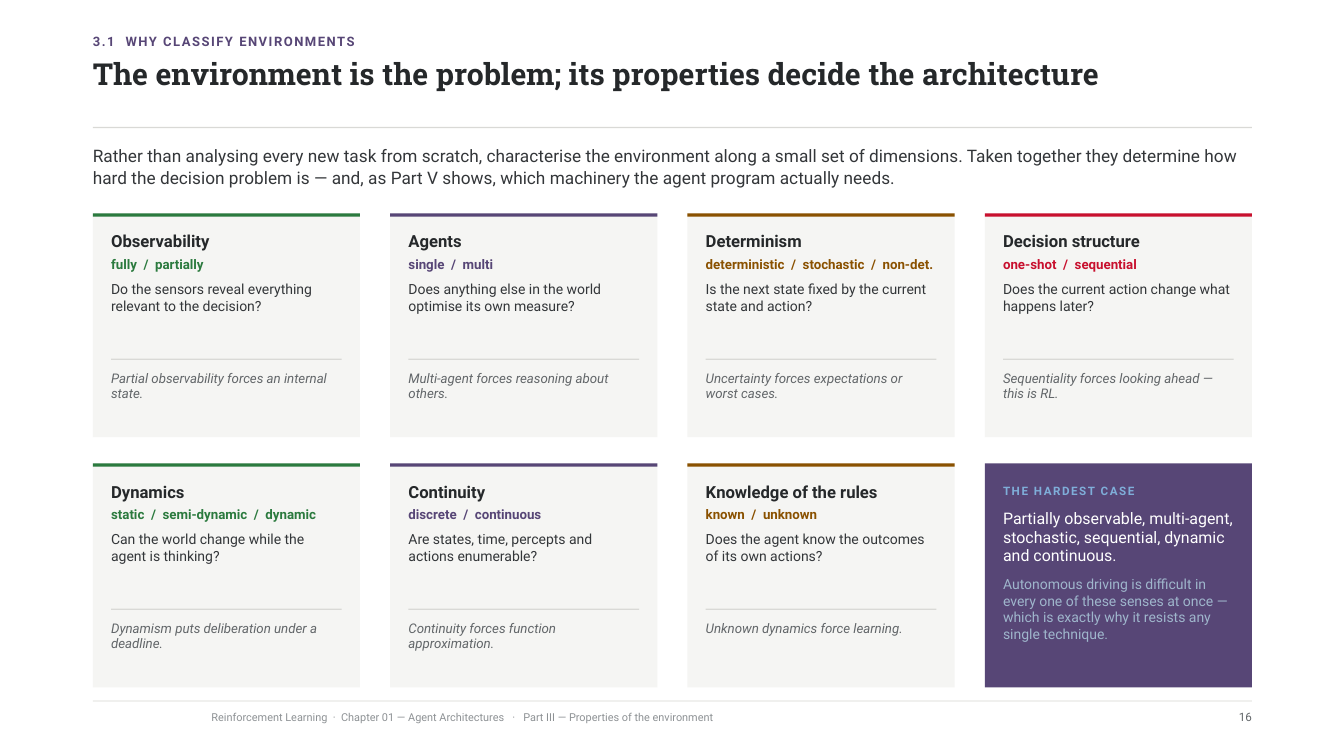
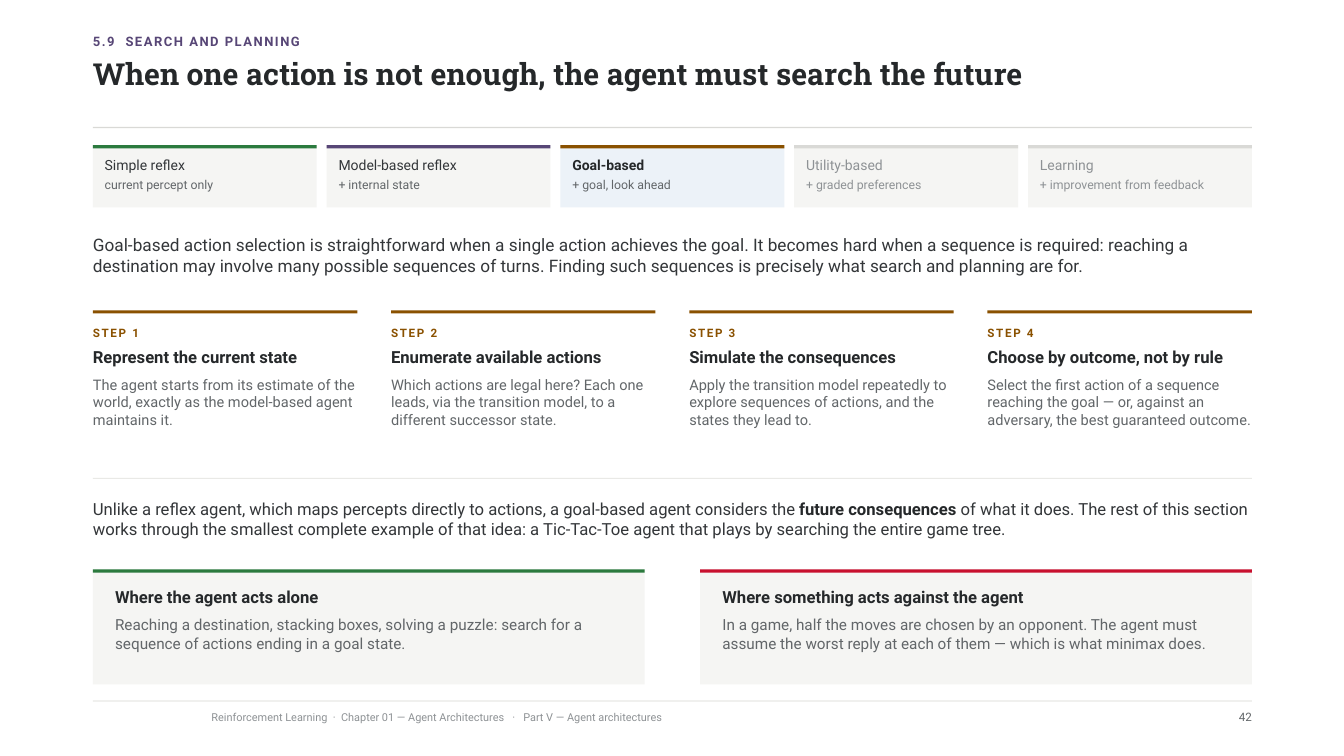
"""Build two lecture slides on environments, search and planning."""
import pptx
import pptx.dml.color
import pptx.enum.shapes
import pptx.enum.text
import pptx.util

Cm = pptx.util.Cm
Pt = pptx.util.Pt

HUES = {
    "ink": "25282A", "body": "333639", "grey": "626669", "faint": "8E9295",
    "rule": "D9D9D6", "thin": "E9E9E6", "panel": "F5F5F3", "active": "ECF2F8",
    "green": "2B7A3E", "purple": "574676", "brown": "8A5100", "red": "C8102E",
    "white": "FFFFFF", "sky": "7FAED9", "mist": "9FB6CC",
}
LEFT, WIDTH = 2.34, 29.21
HAIR, BAR = 0.03, 0.08
COURSE = "Reinforcement Learning  ·  Chapter 01 — Agent Architectures   ·   "


def style(size, lead, hue, before=0, track=0, align="LEFT", **font):
    """Return the format values of one kind of paragraph."""
    return {
        "hue": hue,
        "track": track,
        "font": {"name": "Roboto", "size": Pt(size), "bold": False, **font},
        "para": {
            "line_spacing": Pt(lead),
            "space_before": Pt(before),
            "alignment": getattr(pptx.enum.text.PP_ALIGN, align),
        },
    }


STYLES = {
    "kicker": style(9.3, 9.3, "purple", track=1.1, bold=True),
    "title": style(21.6, 22.5, "ink", name="Roboto Slab", bold=True),
    "footer": style(7.8, 7.8, "faint"),
    "page": style(8.3, 8.3, "grey", align="RIGHT"),
    "lead": style(12.3, 15.1, "body"),
    "bridge": style(11.9, 14.7, "body"),
    "head": style(11.9, 14, "ink", bold=True),
    "values": style(9.5, 11.2, "ink", before=4, bold=True),
    "query": style(10, 11.8, "body", before=6),
    "note": style(9.5, 11, "grey", italic=True),
    "label": style(8.3, 9.8, "sky", track=1.1, bold=True),
    "claim": style(11.4, 13.4, "white", before=8),
    "reason": style(10, 11.8, "mist", before=8),
    "tile": style(10, 11.8, "body"),
    "active": style(10, 11.8, "ink", bold=True),
    "sub": style(8.8, 9.9, "grey", before=3),
    "step": style(8.3, 9.8, "brown", track=1.2, bold=True),
    "task": style(11.9, 13.3, "ink", before=6, bold=True),
    "detail": style(10.4, 12.5, "grey", before=6),
    "case": style(10.9, 13.1, "grey", before=6),
}

CARDS = [
    ("green", "Observability", "fully  /  partially",
     "Do the sensors reveal everything relevant to the decision?",
     "Partial observability forces an internal state."),
    ("purple", "Agents", "single  /  multi",
     "Does anything else in the world optimise its own measure?",
     "Multi-agent forces reasoning about others."),
    ("brown", "Determinism", "deterministic  /  stochastic  /  non-det.",
     "Is the next state fixed by the current state and action?",
     "Uncertainty forces expectations or worst cases."),
    ("red", "Decision structure", "one-shot  /  sequential",
     "Does the current action change what happens later?",
     "Sequentiality forces looking ahead — this is RL."),
    ("green", "Dynamics", "static  /  semi-dynamic  /  dynamic",
     "Can the world change while the agent is thinking?",
     "Dynamism puts deliberation under a deadline."),
    ("purple", "Continuity", "discrete  /  continuous",
     "Are states, time, percepts and actions enumerable?",
     "Continuity forces function approximation."),
    ("brown", "Knowledge of the rules", "known  /  unknown",
     "Does the agent know the outcomes of its own actions?",
     "Unknown dynamics force learning."),
]
HARDEST = [
    ("label", "THE HARDEST CASE"),
    ("claim", "Partially observable, multi-agent, stochastic, sequential, "
              "dynamic and continuous."),
    ("reason", "Autonomous driving is difficult in every one of these senses "
               "at once — which is exactly why it resists any single technique."),
]
TILES = [
    ("green", "panel", "tile", None, "Simple reflex", "current percept only"),
    ("purple", "panel", "tile", None, "Model-based reflex", "+ internal state"),
    ("brown", "active", "active", None, "Goal-based", "+ goal, look ahead"),
    ("rule", "panel", "tile", "faint", "Utility-based", "+ graded preferences"),
    ("rule", "panel", "tile", "faint", "Learning",
     "+ improvement from feedback"),
]
STEPS = [
    ("Represent the current state",
     "The agent starts from its estimate of the world, exactly as the "
     "model-based agent maintains it."),
    ("Enumerate available actions",
     "Which actions are legal here? Each one leads, via the transition model, "
     "to a different successor state."),
    ("Simulate the consequences",
     "Apply the transition model repeatedly to explore sequences of actions, "
     "and the states they lead to."),
    ("Choose by outcome, not by rule",
     "Select the first action of a sequence reaching the goal — or, against an "
     "adversary, the best guaranteed outcome."),
]
CASES = [
    ("green", "Where the agent acts alone",
     "Reaching a destination, stacking boxes, solving a puzzle: search for a "
     "sequence of actions ending in a goal state."),
    ("red", "Where something acts against the agent",
     "In a game, half the moves are chosen by an opponent. The agent must "
     "assume the worst reply at each of them — which is what minimax does."),
]


def paint(hue):
    """Return the named colour."""
    return pptx.dml.color.RGBColor.from_string(HUES[hue])


def apply(target, values):
    """Set each attribute in values on the target."""
    for name, value in values.items():
        setattr(target, name, value)


def split(count, gap):
    """Return the left edges and the width of equal columns."""
    width = (WIDTH - gap * (count - 1)) / count
    return [LEFT + i * (width + gap) for i in range(count)], width


def block(slide, left, top, width, height, hue):
    """Draw a plain filled rectangle."""
    shape = slide.shapes.add_shape(
        pptx.enum.shapes.MSO_SHAPE.RECTANGLE,
        Cm(left), Cm(top), Cm(width), Cm(height))
    shape.shadow.inherit = False
    shape.fill.solid()
    shape.fill.fore_color.rgb = paint(hue)
    shape.line.fill.background()


def panel(slide, left, top, width, height, edge, fill="panel"):
    """Draw a panel with a coloured top edge."""
    block(slide, left, top, width, height, fill)
    block(slide, left, top, width, BAR, edge)


def write(slide, left, top, width, height, *lines):
    """Write lines of (style, text, optional hue); asterisks mark strong words."""
    frame = slide.shapes.add_textbox(
        Cm(left), Cm(top), Cm(width), Cm(height)).text_frame
    apply(frame, {"word_wrap": True, "margin_left": 0, "margin_top": 0,
                  "margin_right": 0, "margin_bottom": 0})
    for i, (kind, text, *hue) in enumerate(lines):
        look = STYLES[kind]
        para = frame.add_paragraph() if i else frame.paragraphs[0]
        apply(para, look["para"])
        for j, part in enumerate(text.split("*")):
            run = para.add_run()
            run.text = part
            apply(run.font, look["font"])
            run.font.color.rgb = paint(hue[0] if hue and hue[0] else look["hue"])
            if j % 2:
                run.font.bold = True
                run.font.color.rgb = paint("ink")
            if look["track"]:
                run.font._element.set("spc", str(round(look["track"] * 100)))


def start(deck, kicker, title, part, page):
    """Add a slide with its heading, rules and footer."""
    slide = deck.slides.add_slide(deck.slide_layouts[6])
    write(slide, LEFT, 0.91, WIDTH, 0.56, ("kicker", kicker))
    write(slide, LEFT, 1.52, WIDTH, 1.32, ("title", title))
    block(slide, LEFT, 3.2, WIDTH, HAIR, "rule")
    block(slide, LEFT, 17.65, WIDTH, HAIR, "thin")
    write(slide, 5.33, 17.96, 23.11, 0.56, ("footer", COURSE + part))
    write(slide, 28.5, 17.96, 3.05, 0.56, ("page", page))
    return slide


def card(slide, left, top, width, height, edge, head, values, query, note):
    """Draw one dimension of the environment."""
    pad = 0.46
    inner = width - 2 * pad
    panel(slide, left, top, width, height, edge)
    write(slide, left + pad, top + pad, inner, 2.18,
          ("head", head), ("values", values, edge), ("query", query))
    block(slide, left + pad, top + 3.66, inner, HAIR, "rule")
    write(slide, left + pad, top + 3.96, inner, 0.89, ("note", note))


def traits(deck):
    """Build the slide on the properties of environments."""
    slide = start(
        deck, "3.1  WHY CLASSIFY ENVIRONMENTS",
        "The environment is the problem; its properties decide the architecture",
        "Part III — Properties of the environment", "16")
    write(slide, LEFT, 3.66, WIDTH, 1.17, (
        "lead", "Rather than analysing every new task from scratch, characterise "
        "the environment along a small set of dimensions. Taken together they "
        "determine how hard the decision problem is — and, as Part V shows, "
        "which machinery the agent program actually needs."))
    lefts, width = split(4, 0.76)
    spots = [(left, top) for top in (5.38, 11.68) for left in lefts]
    high = 5.64
    for (left, top), data in zip(spots, CARDS):
        card(slide, left, top, width, high, *data)
    left, top = spots[-1]
    block(slide, left, top, width, high, "purple")
    write(slide, left + 0.46, top + 0.51, width - 0.92, 4.57, *HARDEST)


def search(deck):
    """Build the slide on search and planning."""
    slide = start(
        deck, "5.9  SEARCH AND PLANNING",
        "When one action is not enough, the agent must search the future",
        "Part V — Agent architectures", "42")
    lefts, width = split(5, 0.25)
    for left, (edge, fill, kind, hue, name, sub) in zip(lefts, TILES):
        panel(slide, left, 3.66, width, 1.57, edge, fill)
        write(slide, left + 0.3, 3.96, width - 0.6, 0.97,
              (kind, name, hue), ("sub", sub, hue))
    write(slide, LEFT, 5.89, WIDTH, 1.17, (
        "lead", "Goal-based action selection is straightforward when a single "
        "action achieves the goal. It becomes hard when a sequence is required: "
        "reaching a destination may involve many possible sequences of turns. "
        "Finding such sequences is precisely what search and planning are for."))
    lefts, width = split(4, 0.85)
    for i, (left, (task, detail)) in enumerate(zip(lefts, STEPS), 1):
        block(slide, left, 7.82, width, BAR, "brown")
        write(slide, left, 8.23, width, 2.67,
              ("step", f"STEP {i}"), ("task", task), ("detail", detail))
    block(slide, LEFT, 12.04, WIDTH, HAIR, "thin")
    write(slide, LEFT, 12.55, WIDTH, 1.14, (
        "bridge", "Unlike a reflex agent, which maps percepts directly to "
        "actions, a goal-based agent considers the *future consequences* of what "
        "it does. The rest of this section works through the smallest complete "
        "example of that idea: a Tic-Tac-Toe agent that plays by searching the "
        "entire game tree."))
    lefts, width = split(2, 1.4)
    for left, (edge, head, text) in zip(lefts, CASES):
        panel(slide, left, 14.35, width, 2.9, edge)
        write(slide, left + 0.56, 14.81, width - 1.12, 1.73,
              ("head", head), ("case", text))


def main():
    """Build and save the deck."""
    deck = pptx.Presentation()
    apply(deck, {"slide_width": Cm(33.87), "slide_height": Cm(19.05)})
    traits(deck)
    search(deck)
    deck.save("out.pptx")


if __name__ == "__main__":
    main()
